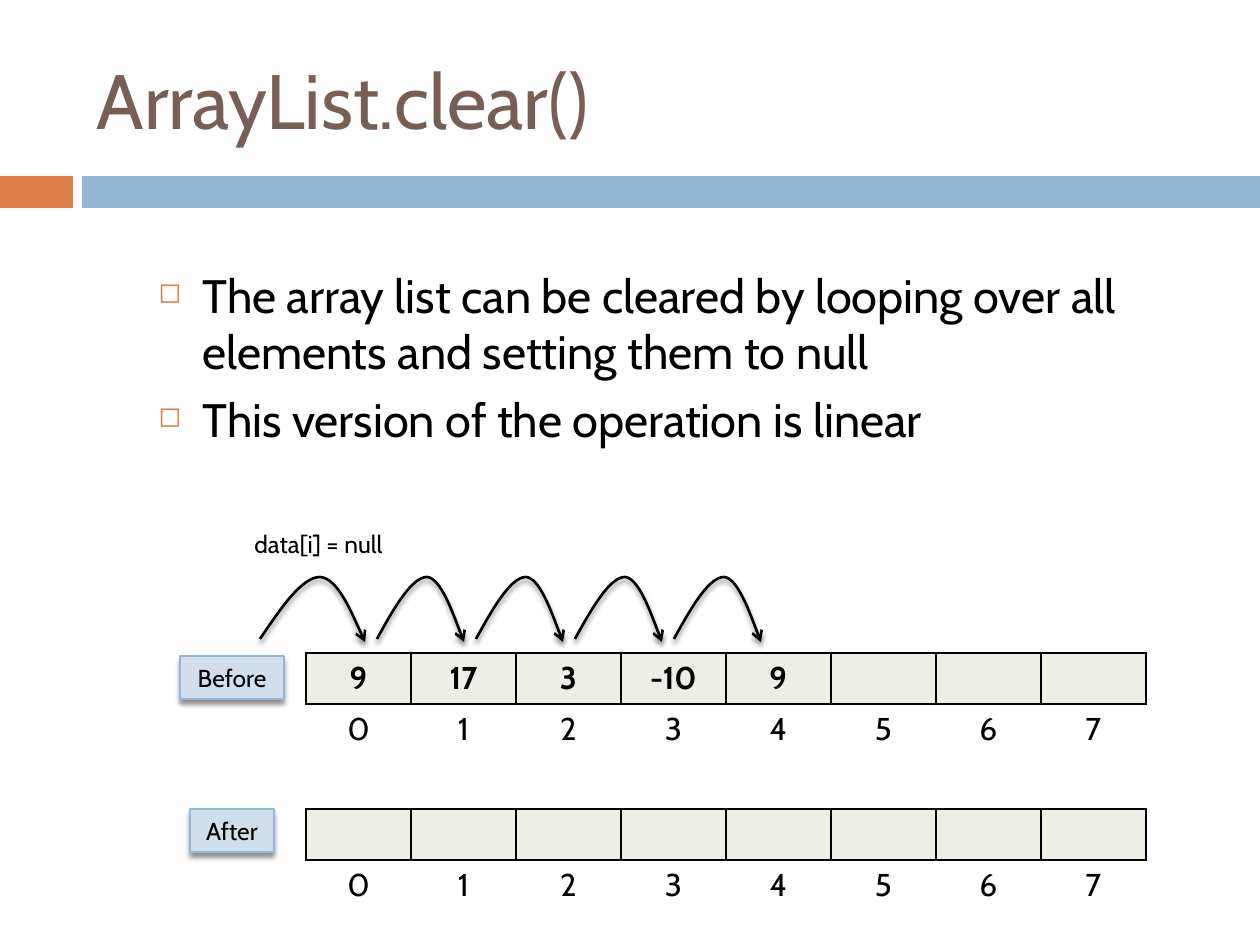
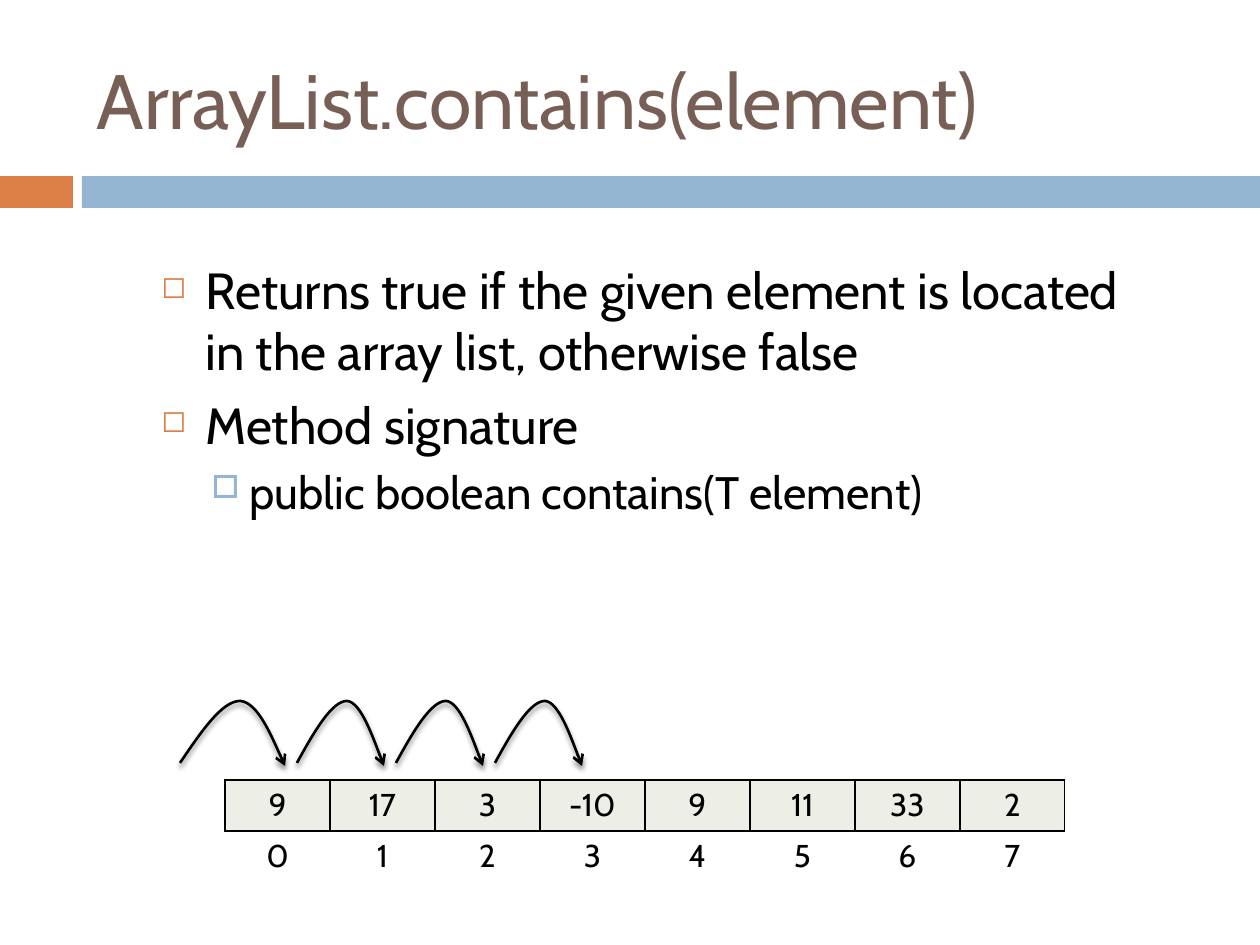
from lxml.etree import SubElement
from pptx import Presentation
from pptx.dml.color import RGBColor
from pptx.enum.shapes import MSO_SHAPE
from pptx.enum.text import MSO_ANCHOR, MSO_AUTO_SIZE, PP_ALIGN
from pptx.oxml.ns import qn
from pptx.util import Pt

SCALE = 914400 / 126
FONT = "Cabin"
BLACK, BROWN, ORANGE, BLUE = "000000", "775F55", "DD8047", "94B6D2"
LABEL_FILL, CELL_FILL = "D2DEEA", "EDEEE6"
TITLE_BOX = (84, 31, 1124, 136)
BANDS = [((0, 176, 73, 32), ORANGE), ((82, 176, 1178, 32), BLUE)]
BULLETS = [("◻", ORANGE, 60, 44, -44, 7), ("□", BLUE, 70, 88, -38, 5.5)]
CELL_W, CELL_H, SLOTS = 105, 51, 8
HOP_X = (0, 0.2, 0.4, 0.57, 0.74, 1, 1)
HOP_Y = (62, 31, 0, 0, 1, 65, 65)


def px(n):
    return round(n * SCALE)


def box_emu(box):
    return [px(n) for n in box]


def rgb(color):
    return RGBColor.from_string(color)


def add_run(p, text, size, color=BLACK, bold=False):
    r = p.add_run()
    r.text = text
    r.font.name = FONT
    r.font.size = Pt(size)
    r.font.bold = bold
    r.font.color.rgb = rgb(color)


def drop_shadow(sp):
    sp.shadow.inherit = False
    effects = sp._element.spPr.find(qn("a:effectLst"))
    outer = SubElement(effects, qn("a:outerShdw"), blurRad="38100",
                       dist="30480", dir="5400000", rotWithShape="0")
    color = SubElement(outer, qn("a:srgbClr"), val=BLACK)
    SubElement(color, qn("a:alpha"), val="45000")


def add_rect(slide, box, fill):
    sp = slide.shapes.add_shape(MSO_SHAPE.RECTANGLE, *box_emu(box))
    sp.shadow.inherit = False
    sp.fill.solid()
    sp.fill.fore_color.rgb = rgb(fill)
    sp.line.fill.background()
    return sp


def add_titled_slide(prs, title):
    slide = prs.slides.add_slide(prs.slide_layouts[5])
    for box, color in BANDS:
        add_rect(slide, box, color)
    sp = slide.shapes.title
    sp.left, sp.top, sp.width, sp.height = box_emu(TITLE_BOX)
    tf = sp.text_frame
    tf.auto_size = MSO_AUTO_SIZE.NONE
    tf.vertical_anchor = MSO_ANCHOR.MIDDLE
    p = tf.paragraphs[0]
    p.alignment = PP_ALIGN.LEFT
    add_run(p, title, 44, BROWN)
    return slide


def add_bullets(slide, box, items):
    tf = slide.shapes.add_textbox(*box_emu(box)).text_frame
    tf.word_wrap = True
    for i, (level, size, text) in enumerate(items):
        p = tf.paragraphs[0] if i == 0 else tf.add_paragraph()
        char, color, percent, margin, indent, before = BULLETS[level]
        p.level = level
        pPr = p._p.get_or_add_pPr()
        pPr.set("marL", str(px(margin)))
        pPr.set("indent", str(px(indent)))
        bullet_color = SubElement(pPr, qn("a:buClr"))
        SubElement(bullet_color, qn("a:srgbClr"), val=color)
        SubElement(pPr, qn("a:buSzPct"), val=str(percent * 1000))
        SubElement(pPr, qn("a:buChar"), char=char)
        if i:
            p.space_before = Pt(before)
        add_run(p, text, size)


def set_borders(cell, sides):
    tcPr = cell._tc.get_or_add_tcPr()
    for side in "LRTB":
        ln = SubElement(tcPr, qn(f"a:ln{side}"), w="12700")
        if side in sides:
            SubElement(SubElement(ln, qn("a:solidFill")), qn("a:srgbClr"), val=BLACK)
        else:
            SubElement(ln, qn("a:noFill"))


def fill_cell(cell, text, bold):
    p = cell.text_frame.paragraphs[0]
    p.alignment = PP_ALIGN.CENTER
    if text:
        add_run(p, text, 18, bold=bold)


def add_array(slide, left, top, values, bold=False):
    frame = slide.shapes.add_table(
        2, SLOTS, *box_emu((left, top, SLOTS * CELL_W, 2 * CELL_H)))
    table = frame.table
    table.first_row = table.horz_banding = False
    for row in table.rows:
        row.height = px(CELL_H)
    for i in range(SLOTS):
        table.columns[i].width = px(CELL_W)
        value, index = table.cell(0, i), table.cell(1, i)
        set_borders(value, "LRTB")
        value.fill.solid()
        value.fill.fore_color.rgb = rgb(CELL_FILL)
        fill_cell(value, str(values[i]) if i < len(values) else "", bold)
        set_borders(index, "T")
        index.fill.background()
        fill_cell(index, str(i), False)


def add_hop(slide, left, top, width):
    points = [(round(x * width), y) for x, y in zip(HOP_X, HOP_Y)]
    builder = slide.shapes.build_freeform(*points[0], scale=SCALE)
    builder.add_line_segments(points[1:], close=False)
    sp = builder.convert_to_shape(px(left), px(top))
    lines = sp._element.xpath(".//a:lnTo")
    outline = lines[0].getparent()
    for start in (0, 3):
        curve = SubElement(outline, qn("a:cubicBezTo"))
        for line in lines[start:start + 3]:
            curve.append(line[0])
            outline.remove(line)
    sp.fill.background()
    sp.line.color.rgb = rgb(BLACK)
    sp.line.width = Pt(1.5)
    SubElement(sp.line._get_or_add_ln(), qn("a:tailEnd"), type="arrow")
    drop_shadow(sp)
    return sp


def add_hops(slide, left, top, count):
    hops = [add_hop(slide, left, top, 105)]
    hops += [add_hop(slide, left + 117 + 99 * i, top, 87) for i in range(count - 1)]
    slide.shapes.add_group_shape(hops)


def set_caption(sp, text, align):
    tf = sp.text_frame
    tf.word_wrap = False
    tf.auto_size = MSO_AUTO_SIZE.SHAPE_TO_FIT_TEXT
    p = tf.paragraphs[0]
    p.alignment = align
    add_run(p, text, 14)


def add_label(slide, box, text):
    sp = add_rect(slide, box, LABEL_FILL)
    sp.line.color.rgb = rgb(BLUE)
    sp.line.width = Pt(0.79)
    drop_shadow(sp)
    set_caption(sp, text, PP_ALIGN.CENTER)


def add_clear_slide(prs):
    slide = add_titled_slide(prs, "ArrayList.clear()")
    add_bullets(slide, (146, 260, 993, 173), [
        (0, 26.8, "The array list can be cleared by looping over all "
                  "elements and setting them to null"),
        (0, 26.8, "This version of the operation is linear"),
    ])
    add_array(slide, 306, 653, [9, 17, 3, -10, 9], bold=True)
    add_array(slide, 306, 809, [])
    add_label(slide, (180, 656, 104, 43), "Before")
    add_label(slide, (190, 809, 84, 43), "After")
    code = slide.shapes.add_textbox(*box_emu((242, 523, 157, 43)))
    set_caption(code, "data[i] = null", PP_ALIGN.LEFT)
    add_hops(slide, 260, 577, 5)


def add_contains_slide(prs):
    slide = add_titled_slide(prs, "ArrayList.contains(element)")
    add_bullets(slide, (149, 253, 993, 299), [
        (0, 29, "Returns true if the given element is located "
                "in the array list, otherwise false"),
        (0, 29, "Method signature"),
        (1, 26, "public boolean contains(T element)"),
    ])
    add_array(slide, 225, 780, [9, 17, 3, -10, 9, 11, 33, 2])
    add_hops(slide, 180, 701, 4)


def main():
    prs = Presentation()
    prs.slide_width, prs.slide_height = px(1260), px(945)
    add_clear_slide(prs)
    add_contains_slide(prs)
    prs.save("out.pptx")


if __name__ == "__main__":
    main()
